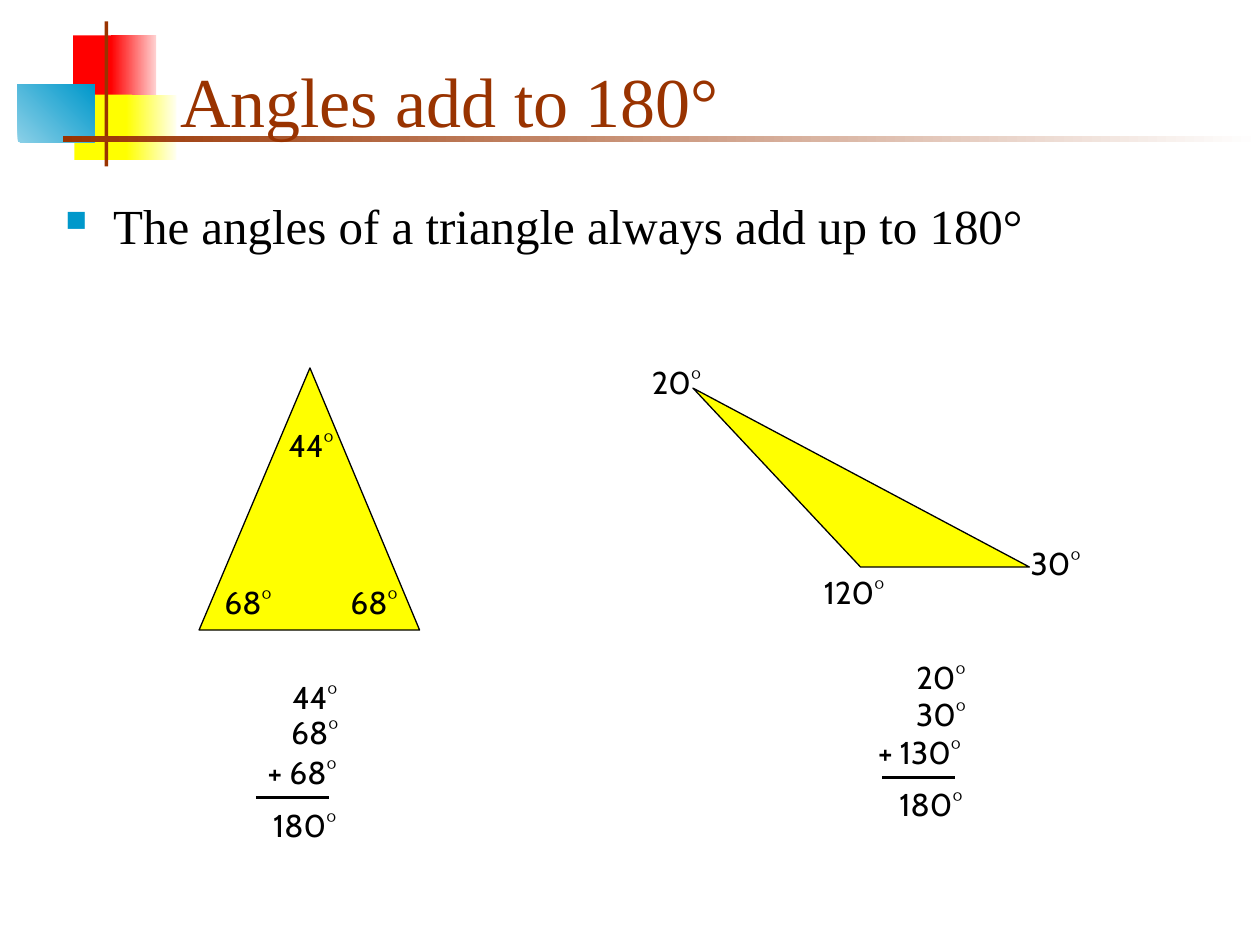
import pptx
import pptx.dml.color
import pptx.enum.shapes
import pptx.enum.text
import pptx.oxml
import pptx.oxml.ns
import pptx.util
from pptx.util import Inches

SHAPE = pptx.enum.shapes.MSO_SHAPE
ANCHOR = pptx.enum.text.MSO_ANCHOR
ALIGN = pptx.enum.text.PP_ALIGN

BANDS = [
    (0.58, 0.28, 0.35, 0.52, ["FF0000"], 0),
    (0.88, 0.28, 0.36, 0.52, ["FF0000", "FFD1D1"], 0),
    (0.59, 0.75, 0.46, 0.52, ["FFFF00"], 0),
    (1, 0.75, 0.4, 0.52, ["FFFF00", "FFFFF0"], 0),
    (0.14, 0.67, 0.61, 0.46, ["8BD0E7", "0098CB"], 45),
    (0.83, 0.17, 0.03, 1.15, ["993300"], 0),
    (0.5, 1.08, 9.5, 0.05, ["993300", "FFFFFF"], 0),
]
TRIANGLES = [
    [(1.58, 5), (2.46, 2.92), (3.33, 5)],
    [(5.5, 3.08), (6.83, 4.5), (8.17, 4.5)],
]
LABELS = [
    (2.17, 3.33, 0.6, "44°"),
    (1.67, 4.58, 0.6, "68°"),
    (2.67, 4.58, 0.6, "68°"),
    (5.07, 2.83, 0.6, "20°"),
    (6.41, 4.5, 0.74, "120°"),
    (8.08, 4.27, 0.6, "30°"),
    (2.2, 5.33, 0.6, "44°"),
    (2.2, 5.61, 0.6, "68°"),
    (2, 5.93, 0.8, "+ 68°"),
    (2.05, 6.35, 0.74, "180°"),
    (7.17, 5.17, 0.6, "20°"),
    (7.17, 5.47, 0.6, "30°"),
    (6.83, 5.77, 0.94, "+ 130°"),
    (7.02, 6.18, 0.74, "180°"),
]
SUM_LINES = [(2.03, 6.33), (7, 6.17)]


def rgb(value):
    return pptx.dml.color.RGBColor.from_string(value)


def xml(tag, attrs=""):
    ns = pptx.oxml.ns.nsdecls("a")
    return pptx.oxml.parse_xml(f"<a:{tag} {ns} {attrs}/>")


def write(tf, text, size, font, color, frame=None, para=None):
    for name, value in (frame or {}).items():
        setattr(tf, name, value)
    p = tf.paragraphs[0]
    for name, value in (para or {}).items():
        setattr(p, name, value)
    r = p.add_run()
    r.text = text
    for name, value in {"size": pptx.util.Pt(size), "name": font}.items():
        setattr(r.font, name, value)
    r.font.color.rgb = rgb(color)
    return p


def add_band(s, x, y, w, h, colors, angle):
    sp = s.shapes.add_shape(SHAPE.RECTANGLE, Inches(x), Inches(y), Inches(w), Inches(h))
    sp.shadow.inherit = False
    sp.line.fill.background()
    if len(colors) == 1:
        sp.fill.solid()
        sp.fill.fore_color.rgb = rgb(colors[0])
        return
    sp.fill.gradient()
    sp.fill.gradient_angle = angle
    for stop, color in zip(sp.fill.gradient_stops, colors):
        stop.color.rgb = rgb(color)


def add_title(s, text):
    sp = s.shapes.title
    box = {"left": 1.33, "top": 0.25, "width": 8.52, "height": 0.92}
    for name, value in box.items():
        setattr(sp, name, Inches(value))
    write(sp.text_frame, text, 40, "Times New Roman", "993300",
          {"vertical_anchor": ANCHOR.BOTTOM}, {"alignment": ALIGN.LEFT})


def add_bullet(s, text):
    sp = s.shapes.add_textbox(Inches(0.42), Inches(1.5), Inches(9.38), Inches(5.21))
    p = write(sp.text_frame, text, 28, "Times New Roman", "000000",
              {"word_wrap": True}, {"space_before": pptx.util.Pt(7)})
    ppr = p._p.get_or_add_pPr()
    ppr.set("marL", str(Inches(0.38)))
    ppr.set("indent", str(Inches(-0.38)))
    color = xml("buClr")
    color.append(xml("srgbClr", 'val="0098CB"'))
    ppr.append(color)
    ppr.append(xml("buSzPct", 'val="60000"'))
    ppr.append(xml("buChar", 'char="■"'))


def add_triangle(s, points):
    corners = [(Inches(x), Inches(y)) for x, y in points]
    fb = s.shapes.build_freeform(*corners[0])
    fb.add_line_segments(corners[1:], close=True)
    sp = fb.convert_to_shape()
    sp.shadow.inherit = False
    sp.fill.solid()
    sp.fill.fore_color.rgb = rgb("FFFF00")
    sp.line.color.rgb = rgb("000000")
    sp.line.width = pptx.util.Pt(0.75)


def add_label(s, x, y, w, text):
    sp = s.shapes.add_textbox(Inches(x), Inches(y), Inches(w), Inches(0.4))
    write(sp.text_frame, text, 18, "Cabin", "000000",
          {"word_wrap": False, "vertical_anchor": ANCHOR.MIDDLE},
          {"alignment": ALIGN.CENTER})


def add_sum_line(s, x, y):
    sp = s.shapes.add_connector(pptx.enum.shapes.MSO_CONNECTOR.STRAIGHT,
                                Inches(x), Inches(y), Inches(x + 0.58), Inches(y))
    sp.line.color.rgb = rgb("000000")
    sp.line.width = pptx.util.Pt(1.5)
    sp._element.spPr.append(xml("effectLst"))


def main():
    prs = pptx.Presentation()
    prs.slide_width, prs.slide_height = Inches(10), Inches(7.5)
    s = prs.slides.add_slide(prs.slide_layouts[5])
    for band in BANDS:
        add_band(s, *band)
    add_title(s, "Angles add to 180°")
    s.shapes._spTree.append(s.shapes.title._element)
    add_bullet(s, "The angles of a triangle always add up to 180°")
    for points in TRIANGLES:
        add_triangle(s, points)
    for label in LABELS:
        add_label(s, *label)
    for x, y in SUM_LINES:
        add_sum_line(s, x, y)
    prs.save("out.pptx")


if __name__ == "__main__":
    main()
